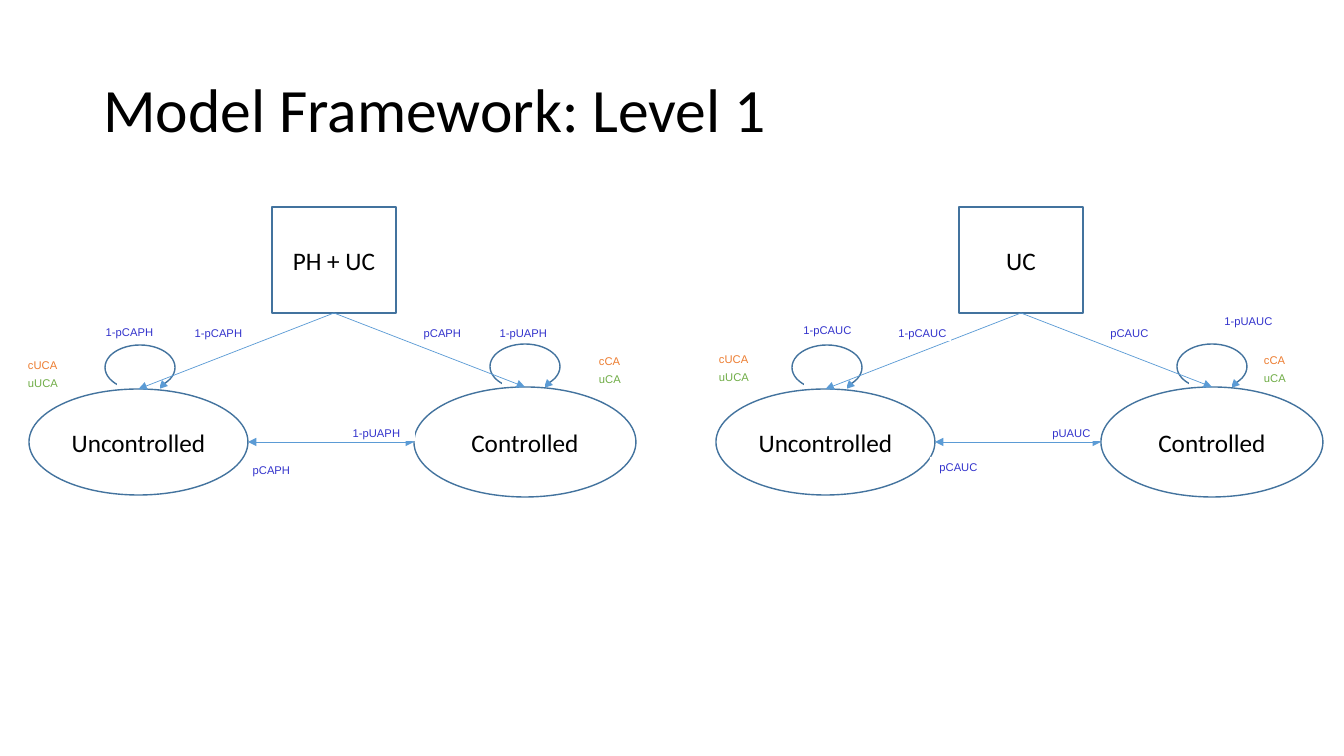
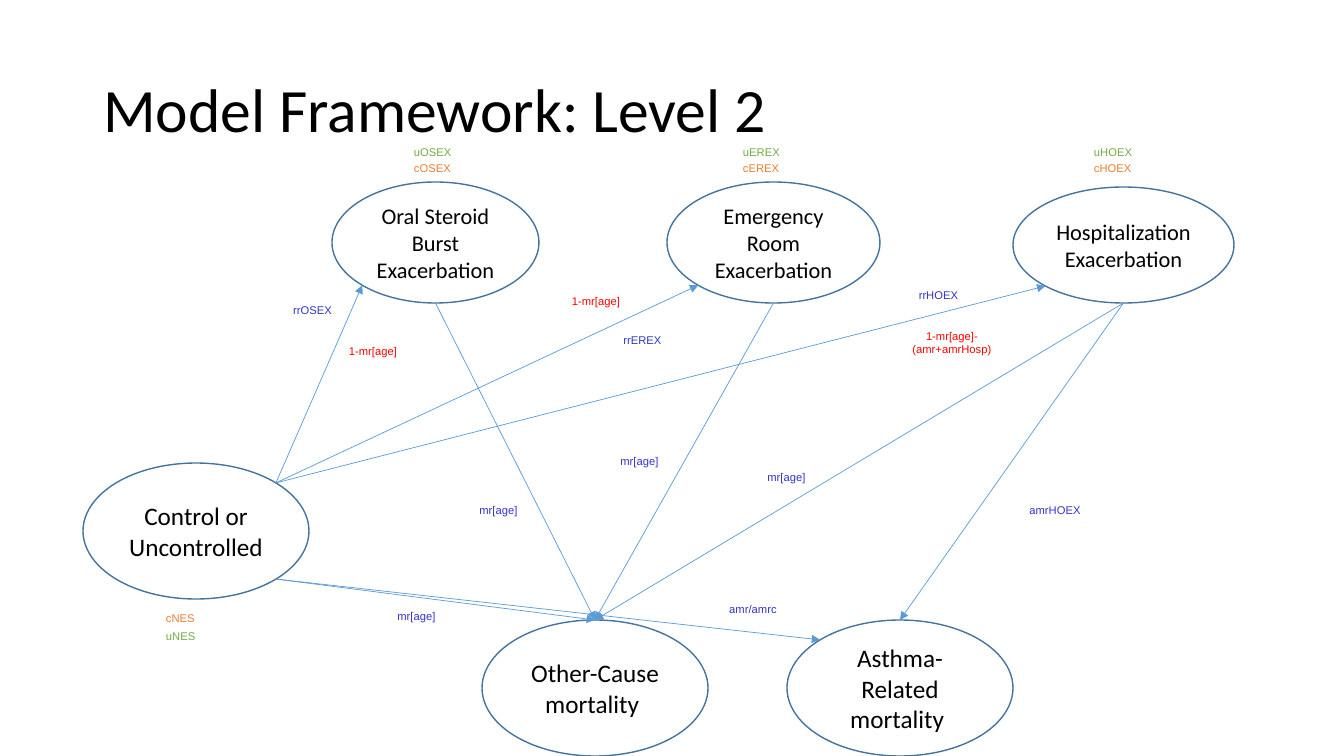
from math import cos, radians, sin

from lxml.etree import SubElement
from pptx import Presentation
from pptx.dml.color import RGBColor
from pptx.enum.shapes import MSO_CONNECTOR as LINE, MSO_SHAPE as SHAPE
from pptx.enum.text import MSO_ANCHOR as ANCHOR, MSO_AUTO_SIZE as FIT, PP_ALIGN as ALIGN
from pptx.oxml.ns import qn
from pptx.util import Pt

PX = 914400 / 100.8
COLORS = {
    "text": "000000", "white": "FFFFFF", "outline": "43739E", "arrow": "5B9BD5",
    "chance": "3333CC", "survival": "FF0000", "cost": "ED7D31", "utility": "70AD47",
}
FONTS = {
    "title": {"name": "Calibri", "size": Pt(44)},
    "node": {"name": "Calibri", "size": Pt(18)},
    "event": {"name": "Calibri", "size": Pt(16)},
    "label": {"name": "Arial", "size": Pt(8)},
}
TITLE_BOX = {"left": 93, "top": 40, "width": 1159, "height": 146}
TITLE_FRAME = {"vertical_anchor": ANCHOR.MIDDLE, "word_wrap": True, "auto_size": FIT.NONE}
LABEL_MARGINS = {"margin_left": 3, "margin_top": 3, "margin_bottom": 0}
TOP, TOP_LEFT, LEFT, BOTTOM_LEFT, BOTTOM, BOTTOM_RIGHT, RIGHT, TOP_RIGHT = range(8)
BOX_BOTTOM = 2
PANEL_STEP = 687
LOOP_STEP = 385


def px(value):
    """Turn pixels into EMU."""
    return round(value * PX)


def rgb(key):
    """Return a named colour."""
    return RGBColor.from_string(COLORS[key])


def assign(target, values):
    """Set attributes from a dict."""
    for name, value in values.items():
        setattr(target, name, value)


def write(tf, text, font, color="text", align=ALIGN.CENTER):
    """Fill a text frame with formatted text."""
    tf.text = text
    for p in tf.paragraphs:
        p.alignment = align
        for r in p.runs:
            assign(r.font, FONTS[font])
            r.font.color.rgb = rgb(color)


def add_shape(s, kind, box, line=None, fill=None):
    """Add a flat shape with an optional outline and fill."""
    sp = s.shapes.add_shape(kind, *map(px, box))
    sp.shadow.inherit = False
    for part, key in ((sp.fill, fill), (sp.line.fill, line)):
        if key:
            part.solid()
            part.fore_color.rgb = rgb(key)
        else:
            part.background()
    if line:
        sp.line.width = Pt(1)
    return sp


def add_node(s, text, box, font="node", kind=SHAPE.OVAL):
    """Add an outlined state with centred text."""
    sp = add_shape(s, kind, box, line="outline")
    sp.text_frame.word_wrap = True
    sp.text_frame.vertical_anchor = ANCHOR.MIDDLE
    write(sp.text_frame, text, font)
    return sp


def add_label(s, text, box, color="chance", align=ALIGN.CENTER):
    """Add a small white-backed label."""
    tf = add_shape(s, SHAPE.RECTANGLE, box, fill="white").text_frame
    tf.word_wrap = True
    tf.vertical_anchor = ANCHOR.TOP
    margins = dict(LABEL_MARGINS, margin_right=3 if align == ALIGN.CENTER else 0)
    assign(tf, {name: px(value) for name, value in margins.items()})
    write(tf, text, "label", color, align)


def add_values(s, state, x, y, pitch=18, order=("cost", "utility")):
    """Add the stacked cost and utility labels of a state."""
    for row, kind in enumerate(order):
        add_label(s, kind[0] + state, (x, y + row * pitch, 67, 17), kind, ALIGN.LEFT)


def add_arrow(s, start, end, both=False):
    """Add a straight arrow between two EMU points."""
    cx = s.shapes.add_connector(LINE.STRAIGHT, *start, *end)
    cx.line.color.rgb = rgb("arrow")
    cx.line.width = Pt(0.5)
    ln = cx.line._get_or_add_ln()
    for tag in ("a:headEnd", "a:tailEnd")[0 if both else 1:]:
        SubElement(ln, qn(tag), type="triangle")
    SubElement(cx._element.spPr, qn("a:effectLst"))
    return cx


def site_point(sp, site):
    """Return the EMU point of a connection site, counted from the top."""
    step = 45 if sp.auto_shape_type == SHAPE.OVAL else 90
    angle = radians(site * step)
    return (round(sp.left + sp.width / 2 * (1 - sin(angle))),
            round(sp.top + sp.height / 2 * (1 - cos(angle))))


def link(s, source, source_site, target, target_site, both=False):
    """Join two states with a glued arrow."""
    cx = add_arrow(s, site_point(source, source_site), site_point(target, target_site), both)
    glue = cx._element.nvCxnSpPr.cNvCxnSpPr
    for tag, sp, site in (("a:stCxn", source, source_site), ("a:endCxn", target, target_site)):
        SubElement(glue, qn(tag), id=str(sp.shape_id), idx=str(site))


def add_loop(s, x, y):
    """Add a self-transition loop open at the bottom."""
    add_shape(s, SHAPE.OVAL, (x, y, 70, 45), line="outline").rotation = 180
    add_arrow(s, (px(x + 60), px(y + 38)), (px(x + 54), px(y + 44)))
    add_shape(s, SHAPE.RECTANGLE, (x + 13, y + 33, 41, 12), line="white", fill="white")


def add_slide(prs, title):
    """Add a slide with the shared title style."""
    s = prs.slides.add_slide(prs.slide_layouts[5])
    sp = s.shapes.title
    assign(sp, {name: px(value) for name, value in TITLE_BOX.items()})
    assign(sp.text_frame, TITLE_FRAME)
    write(sp.text_frame, title, "title", align=ALIGN.LEFT)
    sp.text_frame.paragraphs[0].line_spacing = 0.9
    return s


def add_arm(s, name, x):
    """Add one treatment arm with its two control states."""
    add_loop(s, x + 105 + LOOP_STEP, 344)
    add_loop(s, x + 105, 345)
    controlled = add_node(s, "Controlled", (x + 414, 387, 222, 110))
    uncontrolled = add_node(s, "Uncontrolled", (x + 29, 389, 219, 106))
    arm = add_node(s, name, (x + 272, 207, 124, 106), kind=SHAPE.RECTANGLE)
    link(s, arm, BOX_BOTTOM, uncontrolled, TOP)
    link(s, arm, BOX_BOTTOM, controlled, TOP)
    link(s, controlled, LEFT, uncontrolled, RIGHT, both=True)


def build_level_1(prs):
    """Build the slide of control states."""
    s = add_slide(prs, "Model Framework: Level 1")
    for index, name in enumerate(("PH + UC", "UC")):
        add_arm(s, name, index * PANEL_STEP)
    for text, box in (
        ("pCAPH", (414, 323, 57, 18)), ("pCAUC", (1101, 323, 57, 18)),
        ("1-pCAPH", (190, 323, 57, 18)), ("1-pCAUC", (894, 323, 57, 18)),
        ("pCAUC", (930, 457, 57, 18)), ("pCAPH", (243, 460, 57, 18)),
        ("1-pCAPH", (93, 322, 73, 20)), ("1-pCAUC", (785, 320, 85, 21)),
        ("pUAUC", (1043, 423, 57, 18)), ("1-pUAUC", (1153, 311, 191, 18)),
        ("1-pUAPH", (485, 323, 77, 18)), ("1-pUAPH", (338, 423, 77, 18)),
    ):
        add_label(s, text, box)
    for state, x, y in (("CA", 596, 351), ("UCA", 25, 355), ("CA", 1261, 350), ("UCA", 716, 349)):
        add_values(s, state, x, y)


def build_level_2(prs):
    """Build the slide of exacerbations and mortality."""
    s = add_slide(prs, "Model Framework: Level 2")
    asthma = add_node(s, "Asthma-Related mortality ", (787, 620, 226, 136))
    other = add_node(s, "Other-Cause mortality ", (482, 620, 226, 136))
    control = add_node(s, "Control or\nUncontrolled", (83, 463, 226, 136))
    steroid = add_node(s, "Oral Steroid Burst Exacerbation", (332, 182, 207, 121), "event")
    emergency = add_node(s, "Emergency Room Exacerbation", (667, 182, 213, 121), "event")
    hospital = add_node(s, "Hospitalization Exacerbation", (1013, 187, 221, 116), "event")
    for event in (steroid, emergency, hospital):
        link(s, control, TOP_RIGHT, event, BOTTOM_LEFT)
        link(s, event, BOTTOM, other, TOP)
    link(s, hospital, BOTTOM, asthma, TOP)
    link(s, control, BOTTOM_RIGHT, other, TOP)
    link(s, control, BOTTOM_RIGHT, asthma, TOP_LEFT)
    for text, x, y in (
        ("mr[age]", 388, 606), ("mr[age]", 470, 500), ("mr[age]", 611, 451), ("mr[age]", 758, 467),
        ("rrOSEX", 284, 300), ("rrEREX", 614, 330), ("rrHOEX", 910, 285),
    ):
        add_label(s, text, (x, y, 57, 17))
    add_label(s, "amrHOEX", (992, 500, 126, 17))
    add_label(s, "amr/amrc", (705, 599, 96, 25))
    for text, box in (
        ("1-mr[age]", (342, 341, 62, 24)), ("1-mr[age]", (565, 291, 62, 24)),
        ("1-mr[age]-(amr+amrHosp)", (891, 326, 122, 5)),
    ):
        add_label(s, text, box, "survival")
    add_values(s, "NES", 163, 608)
    for state, x in (("OSEX", 411), ("EREX", 740), ("HOEX", 1091)):
        add_values(s, state, x, 142, 16, ("utility", "cost"))


def main():
    """Build and save the presentation."""
    prs = Presentation()
    prs.slide_width, prs.slide_height = px(1344), px(756)
    build_level_1(prs)
    build_level_2(prs)
    prs.save("out.pptx")


main()
